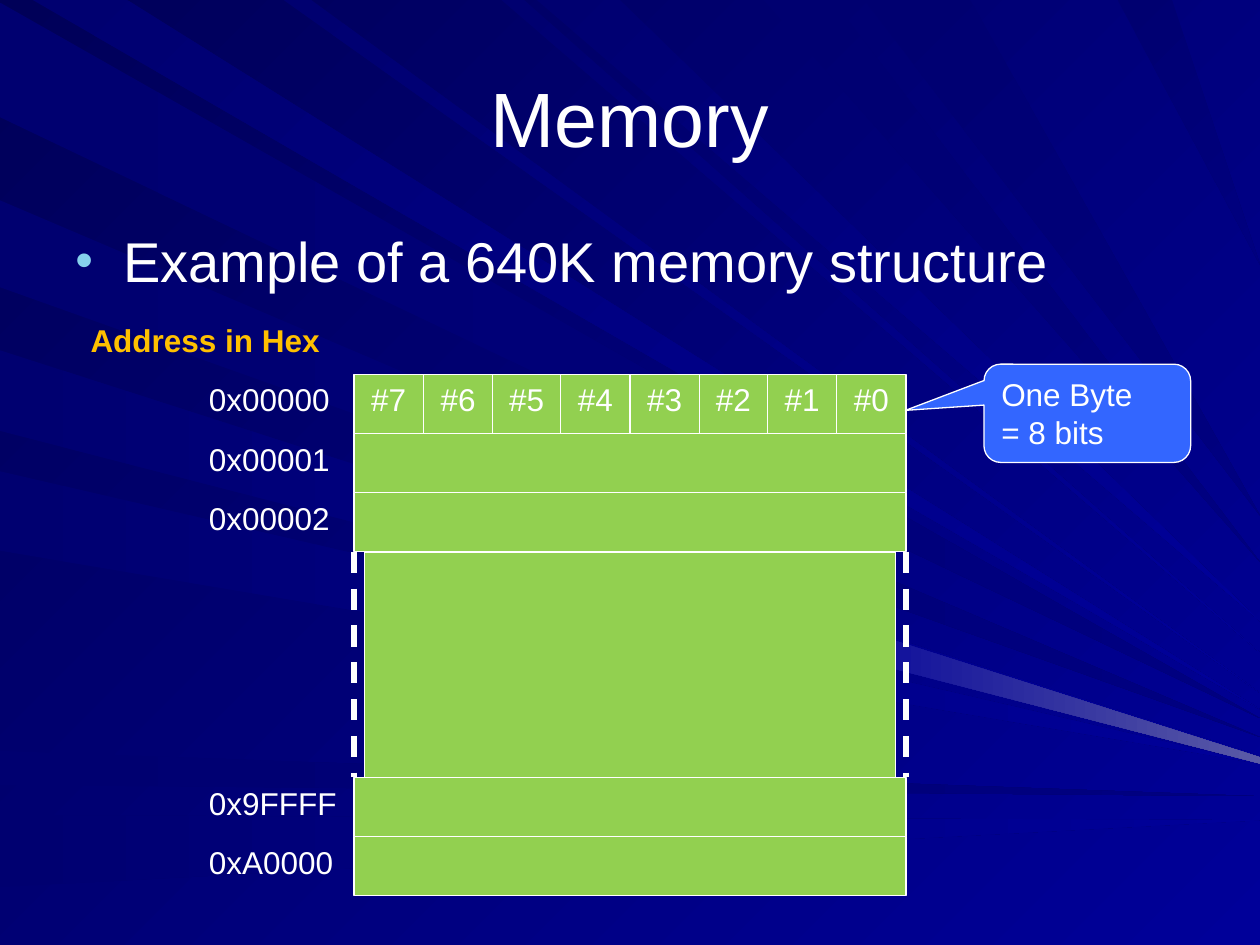
from dataclasses import dataclass
from typing import NamedTuple

from lxml.etree import SubElement
from pptx import Presentation
from pptx.dml.color import RGBColor
from pptx.enum.dml import MSO_LINE
from pptx.enum.shapes import MSO_CONNECTOR, MSO_SHAPE
from pptx.enum.text import MSO_ANCHOR, MSO_AUTO_SIZE, PP_ALIGN
from pptx.oxml.ns import qn
from pptx.util import Pt

EMU_PER_PX = 9144  # 100 px to the inch
PAGE_WIDTH, PAGE_HEIGHT = 1000, 750
FONT = "Arial"
WHITE, GREEN, BLUE, GOLD, CYAN = "FFFFFF", "92D050", "3366FF", "FFC000", "86D1EC"
NIGHT, DARK, NAVY, ROYAL, GLOW = "000058", "000070", "000080", "000099", "5A5AA6"

MEMORY_LEFT, MEMORY_WIDTH, ROW_HEIGHT = 281, 438, 47
MEMORY_RIGHT = MEMORY_LEFT + MEMORY_WIDTH
MEMORY_TOP, GAP_TOP, GAP_BOTTOM = 297, 438, 617
GAP_INSET = 8
BITS = 8


class Area(NamedTuple):
    left: int
    top: int
    width: int
    height: int


class Ray(NamedTuple):
    """A beam from a stretch of the left or top edge to a point on the right edge."""
    start: int
    end: int
    target: int
    light: str = ROYAL


@dataclass
class MemoryRow:
    address: str
    top: int
    split: bool = False


UPPER_ADDRESSES = ("0x00000", "0x00001", "0x00002")
LOWER_ADDRESSES = ("0x9FFFF", "0xA0000")
ROWS = [
    MemoryRow(address, first + i * ROW_HEIGHT, split=(first == MEMORY_TOP and i == 0))
    for first, addresses in ((MEMORY_TOP, UPPER_ADDRESSES), (GAP_BOTTOM, LOWER_ADDRESSES))
    for i, address in enumerate(addresses)
]

LEFT_RAYS = [
    Ray(2, 93, 570, NAVY), Ray(159, 228, 585, NAVY), Ray(278, 342, 600),
    Ray(374, 437, 606), Ray(596, 623, 632, NAVY), Ray(647, 704, 651),
]
TOP_RAYS = [
    Ray(26, 101, 563), Ray(225, 247, 550), Ray(398, 416, 518), Ray(426, 492, 493),
    Ray(606, 661, 446, NAVY), Ray(686, 770, 409, NAVY), Ray(887, 930, 210, NAVY),
]
GLOW_CORNERS = [(637, 485), (633, 511), (PAGE_WIDTH, 606), (PAGE_WIDTH, 601)]


def px(length: int) -> int:
    return length * EMU_PER_PX


def colour(value: str) -> RGBColor:
    return RGBColor.from_string(value)


def place(area: Area) -> tuple[int, ...]:
    return tuple(px(length) for length in area)


def paint_gradient(fill, dark: str, light: str, angle: int) -> None:
    """Fill with a linear gradient; the angle runs clockwise."""
    fill.gradient()
    fill.gradient_angle = -angle % 360
    for stop, value in zip(fill.gradient_stops, (dark, light)):
        stop.color.rgb = colour(value)


def add_span(para, text: str, size: int = 18, tint: str = WHITE, bold: bool = False) -> None:
    span = para.add_run()
    span.text = text
    span.font.name = FONT
    span.font.size = Pt(size)
    span.font.bold = bold
    span.font.color.rgb = colour(tint)


def add_beam(page, corners: list[tuple[int, int]], dark: str, light: str, angle: int = 0) -> None:
    builder = page.shapes.build_freeform(*corners[0], scale=EMU_PER_PX)
    builder.add_line_segments(corners[1:], close=True)
    shape = builder.convert_to_shape()
    shape.shadow.inherit = False
    shape.line.fill.background()
    paint_gradient(shape.fill, dark, light, angle)


def add_rays(page) -> None:
    for ray in LEFT_RAYS:
        corners = [(0, ray.start), (0, ray.end), (PAGE_WIDTH, ray.target)]
        add_beam(page, corners, DARK, ray.light)
    for ray in TOP_RAYS:
        corners = [(ray.start, 0), (ray.end, 0), (PAGE_WIDTH, ray.target)]
        add_beam(page, corners, DARK, ray.light, 45)
    add_beam(page, GLOW_CORNERS, ROYAL, GLOW)


def add_block(page, area: Area, lines: tuple[str, ...] = (), tint: str = GREEN,
              kind=MSO_SHAPE.RECTANGLE, align=PP_ALIGN.CENTER):
    shape = page.shapes.add_shape(kind, *place(area))
    shape.shadow.inherit = False
    shape.fill.solid()
    shape.fill.fore_color.rgb = colour(tint)
    shape.line.color.rgb = colour(WHITE)
    shape.line.width = Pt(0.75)
    frame = shape.text_frame
    frame.vertical_anchor = MSO_ANCHOR.TOP
    for index, line in enumerate(lines):
        para = frame.add_paragraph() if index else frame.paragraphs[0]
        para.alignment = align
        add_span(para, line)
    return shape


def add_label(page, area: Area, text: str, tint: str = WHITE, bold: bool = False) -> None:
    frame = page.shapes.add_textbox(*place(area)).text_frame
    frame.word_wrap = True
    frame.auto_size = MSO_AUTO_SIZE.SHAPE_TO_FIT_TEXT
    add_span(frame.paragraphs[0], text, tint=tint, bold=bold)


def add_bullet(page, area: Area, text: str) -> None:
    frame = page.shapes.add_textbox(*place(area)).text_frame
    frame.word_wrap = True
    para = frame.paragraphs[0]
    para.space_before = Pt(4)
    add_span(para, text, size=32)
    properties = para._p.get_or_add_pPr()
    properties.set("marL", str(px(38)))
    properties.set("indent", str(px(-38)))
    SubElement(SubElement(properties, qn("a:buClr")), qn("a:srgbClr"), val=CYAN)
    SubElement(properties, qn("a:buSzPct"), val="90000")
    SubElement(properties, qn("a:buFont"), typeface=FONT)
    SubElement(properties, qn("a:buChar"), char="•")


def add_dashed_edge(page, x: int) -> None:
    edge = page.shapes.add_connector(
        MSO_CONNECTOR.STRAIGHT, px(x), px(GAP_TOP), px(x), px(GAP_BOTTOM))
    edge.line.color.rgb = colour(WHITE)
    edge.line.width = Pt(3)
    edge.line.dash_style = MSO_LINE.DASH
    SubElement(edge.element.spPr, qn("a:effectLst"))


def add_title(page, text: str) -> None:
    """Fill the title placeholder and bring it in front of the rays."""
    title = page.shapes.title
    title.left, title.top, title.width, title.height = place(Area(50, 30, 900, 125))
    title.text_frame.vertical_anchor = MSO_ANCHOR.MIDDLE
    para = title.text_frame.paragraphs[0]
    para.alignment = PP_ALIGN.CENTER
    add_span(para, text, size=44)
    title.element.getparent().append(title.element)


def add_row(page, row: MemoryRow) -> None:
    add_label(page, Area(156, row.top, 124, 40), row.address)
    if not row.split:
        add_block(page, Area(MEMORY_LEFT, row.top, MEMORY_WIDTH, ROW_HEIGHT))
        return
    edges = [MEMORY_LEFT + round(MEMORY_WIDTH * i / BITS) for i in range(BITS + 1)]
    for i, (left, right) in enumerate(zip(edges, edges[1:])):
        add_block(page, Area(left, row.top, right - left, ROW_HEIGHT), (f"#{BITS - 1 - i}",))


def main() -> None:
    deck = Presentation()
    deck.slide_width, deck.slide_height = px(PAGE_WIDTH), px(PAGE_HEIGHT)
    page = deck.slides.add_slide(deck.slide_layouts[5])
    paint_gradient(page.background.fill, NIGHT, ROYAL, 45)
    add_rays(page)
    add_title(page, "Memory")
    add_bullet(page, Area(50, 175, 900, 495), "Example of a 640K memory structure")
    add_label(page, Area(62, 250, 211, 40), "Address in Hex", GOLD, bold=True)
    for row in ROWS:
        add_row(page, row)
    for x in (MEMORY_LEFT, MEMORY_RIGHT):
        add_dashed_edge(page, x)
    callout = add_block(page, Area(781, 289, 164, 78), ("One Byte", "= 8 bits"), BLUE,
                        MSO_SHAPE.ROUNDED_RECTANGULAR_CALLOUT, PP_ALIGN.LEFT)
    for index, value in enumerate((-0.88, -0.03, 0.17)):
        callout.adjustments[index] = value
    add_block(page, Area(MEMORY_LEFT + GAP_INSET, GAP_TOP,
                         MEMORY_WIDTH - 2 * GAP_INSET, GAP_BOTTOM - GAP_TOP))
    deck.save("out.pptx")


if __name__ == "__main__":
    main()
